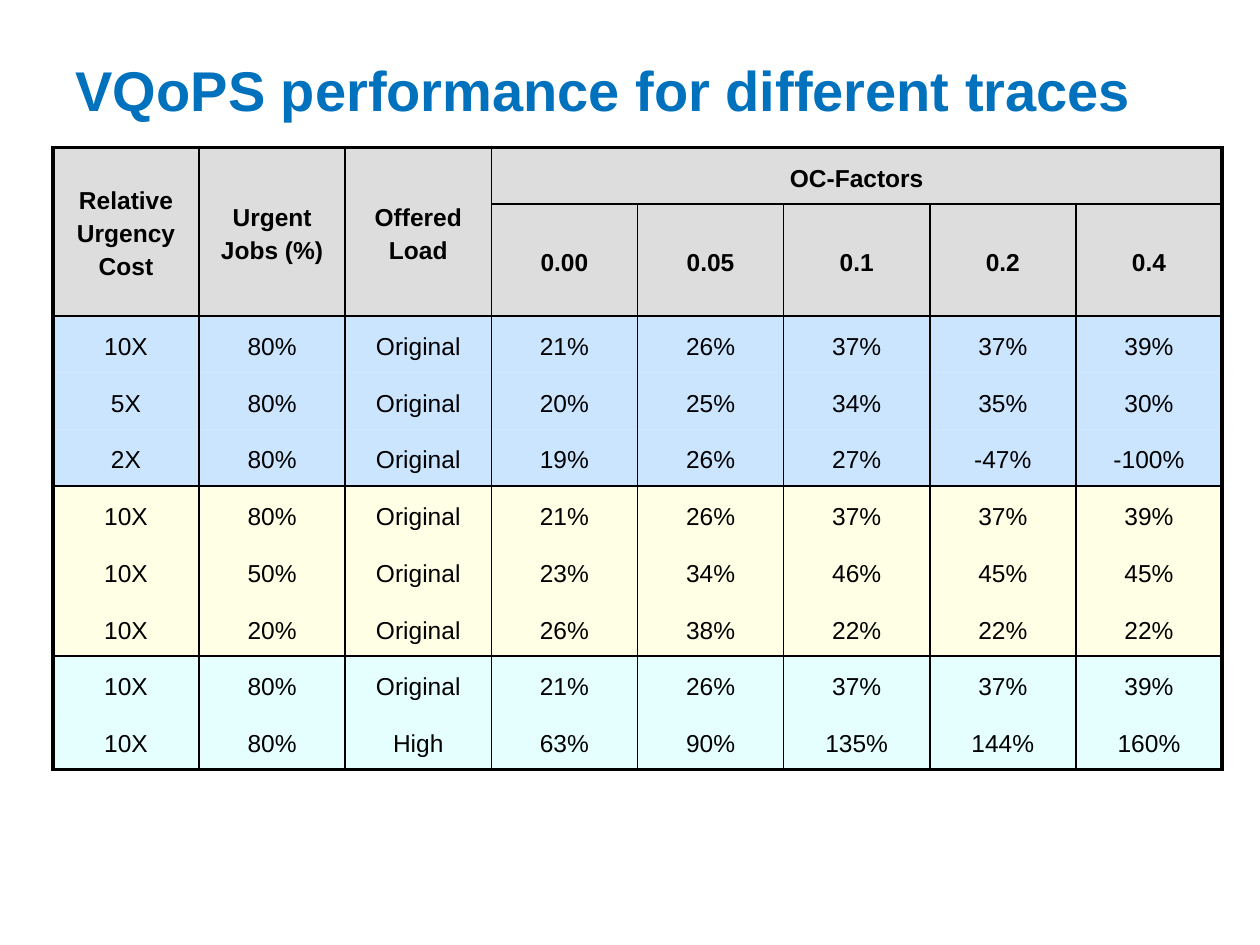
"""Build the slide that compares VQoPS performance across traces."""
from lxml import etree
from pptx import Presentation
from pptx import util as u
from pptx.dml.color import RGBColor
from pptx.enum import text
from pptx.oxml import ns

HEX = {"title": "0071BC", "ink": "000000", "head": "DDDDDD",
       "cost": "99CCFF", "jobs": "FFFFCC", "load": "CCFFFF"}
TITLE = {"size": u.Pt(32), "bold": True, "name": "Arial"}
HEAD = {"size": u.Pt(14), "bold": True, "name": "Arial"}
BODY = {**HEAD, "bold": False}
PLAIN = "{2D5ABB26-0587-4C30-8999-92F81FD0307C}"
THIN, THICK = 1, 2.25

TOP = [["Relative Urgency Cost", "Urgent Jobs (%)", "Offered Load",
        "OC-Factors", "", "", "", ""],
       ["", "", "", "0.00", "0.05", "0.1", "0.2", "0.4"]]
BASE = ["10X", "80%", "Original", "21%", "26%", "37%", "37%", "39%"]
GROUPS = [
    ("head", TOP),
    ("cost", [BASE,
              ["5X", "80%", "Original", "20%", "25%", "34%", "35%", "30%"],
              ["2X", "80%", "Original", "19%", "26%", "27%", "-47%", "-100%"]]),
    ("jobs", [BASE,
              ["10X", "50%", "Original", "23%", "34%", "46%", "45%", "45%"],
              ["10X", "20%", "Original", "26%", "38%", "22%", "22%", "22%"]]),
    ("load", [BASE,
              ["10X", "80%", "High", "63%", "90%", "135%", "144%", "160%"]]),
]
ROWS = [(kind, row) for kind, rows in GROUPS for row in rows]
COLS = len(BASE)
SPANS = [((0, c), (1, c)) for c in range(3)] + [((0, 3), (0, COLS - 1))]


def sub(node, tag, **attrs):
    """Append a DrawingML child and return it."""
    return etree.SubElement(node, ns.qn(f"a:{tag}"), attrs)


def style(run, form, color):
    """Apply font values and a colour to a run."""
    for key, val in form.items():
        setattr(run.font, key, val)
    run.font.color.rgb = RGBColor.from_string(HEX[color])


def add_title(slide, words):
    """Place and format the title."""
    box = slide.shapes.title
    place = {"left": 0.5, "top": 0.17, "width": 9, "height": 1.08}
    for key, val in place.items():
        setattr(box, key, u.Inches(val))
    frame = box.text_frame
    frame.vertical_anchor = text.MSO_ANCHOR.MIDDLE
    para = frame.paragraphs[0]
    para.alignment = text.PP_ALIGN.LEFT
    run = para.add_run()
    run.text = words
    style(run, TITLE, "title")


def rules():
    """Return line widths by row boundary and by column boundary."""
    across = {0: THICK, 1: THIN}
    end = 0
    for _, rows in GROUPS:
        end += len(rows)
        across[end] = THIN
    across[end] = THICK
    down = {c: THIN for c in range(1, COLS)} | {0: THICK, COLS: THICK}
    return across, down


def draw_edges(cell, widths):
    """Draw the left, right, top and bottom borders of a cell."""
    props = cell._tc.get_or_add_tcPr()
    for side, width in zip("LRTB", widths):
        if width:
            line = sub(props, f"ln{side}", w=str(u.Pt(width)))
            sub(sub(line, "solidFill"), "srgbClr", val=HEX["ink"])
        else:
            sub(sub(props, f"ln{side}", w="0"), "noFill")


def fill_cell(cell, kind):
    """Fill a cell, half transparent below the header."""
    cell.fill.solid()
    cell.fill.fore_color.rgb = RGBColor.from_string(HEX[kind])
    if kind != "head":
        color = cell._tc.tcPr.find(f".//{ns.qn('a:solidFill')}[last()]")
        color = cell._tc.tcPr.findall(ns.qn("a:solidFill"))[-1][0]
        sub(color, "alpha", val="50000")


def write_cell(cell, words, form):
    """Write centred text with relative line spacing."""
    cell.vertical_anchor = text.MSO_ANCHOR.MIDDLE
    para = cell.text_frame.paragraphs[0]
    para.alignment = text.PP_ALIGN.CENTER
    para.line_spacing = 1.2
    sub(sub(para._p.get_or_add_pPr(), "spcBef"), "spcPct", val="20000")
    run = para.add_run()
    run.text = words
    style(run, form, "ink")


def add_grid(slide):
    """Add the results table."""
    wide, high = u.Inches(1.16), u.Inches(0.45)
    frame = slide.shapes.add_table(len(ROWS), COLS, u.Inches(0.42),
                                   u.Inches(1.17), wide * COLS,
                                   high * len(ROWS))
    grid = frame.table
    grid.first_row = grid.horz_banding = False
    grid._tbl.tblPr.find(ns.qn("a:tableStyleId")).text = PLAIN
    for start, end in SPANS:
        grid.cell(*start).merge(grid.cell(*end))
    across, down = rules()
    for r, (kind, row) in enumerate(ROWS):
        for c, words in enumerate(row):
            cell = grid.cell(r, c)
            if cell.is_spanned:
                continue
            tall = cell.span_height if cell.is_merge_origin else 1
            broad = cell.span_width if cell.is_merge_origin else 1
            draw_edges(cell, (down[c], down[c + broad],
                              across.get(r), across.get(r + tall)))
            fill_cell(cell, kind)
            write_cell(cell, words, HEAD if kind == "head" else BODY)


def main():
    """Build and save the slide."""
    deck = Presentation()
    deck.slide_width, deck.slide_height = u.Inches(10), u.Inches(7.5)
    slide = deck.slides.add_slide(deck.slide_layouts[5])
    add_title(slide, "VQoPS performance for different traces")
    add_grid(slide)
    deck.save("out.pptx")


if __name__ == "__main__":
    main()
